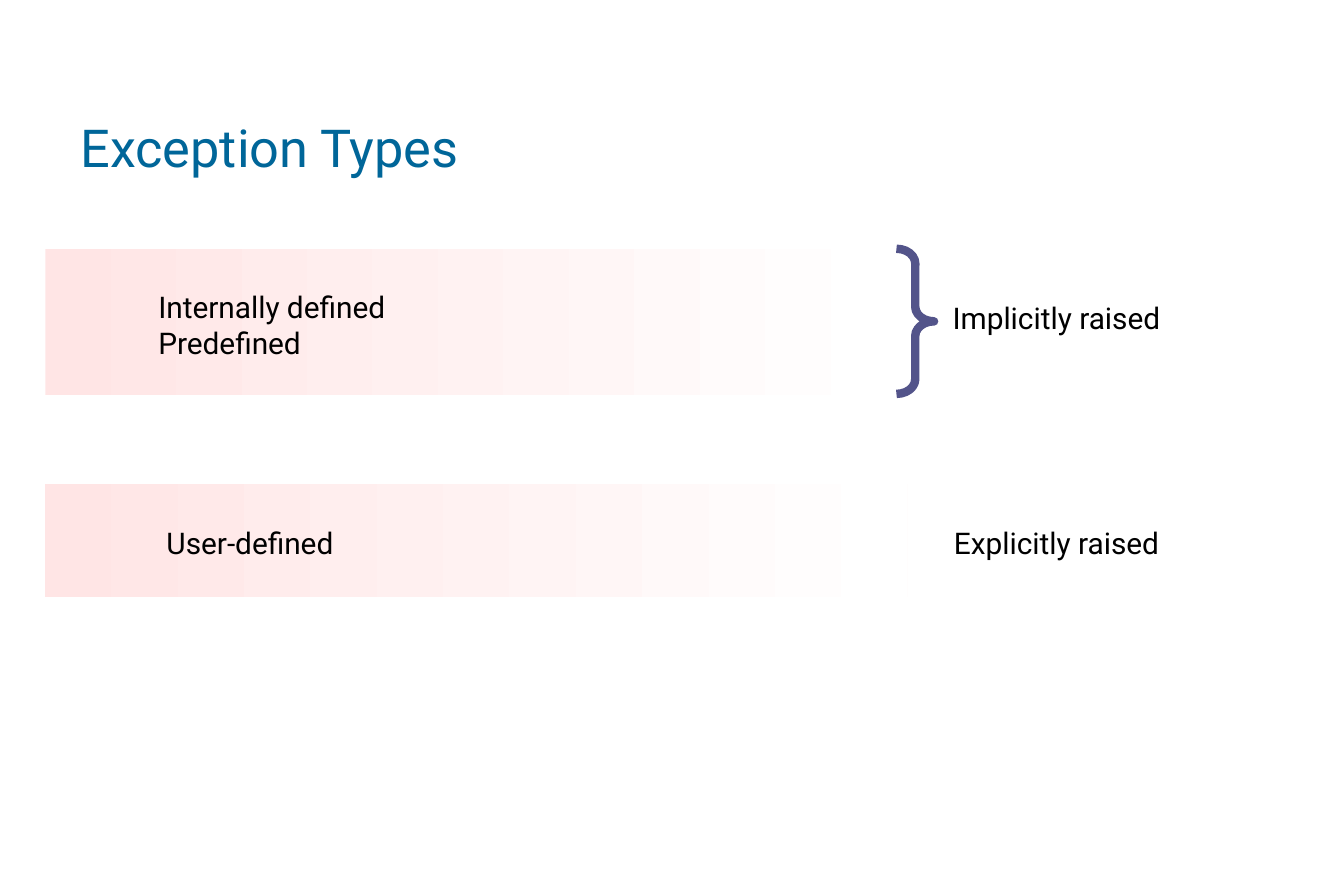
from dataclasses import dataclass
from pptx import Presentation
from pptx.dml.color import RGBColor as RGB
from pptx.enum.shapes import MSO_SHAPE as Preset
from pptx.enum.text import MSO_ANCHOR as Anchor, MSO_AUTO_SIZE as AutoSize, PP_ALIGN as Align
from pptx.util import Pt


@dataclass(frozen=True)
class Theme:
    font: str = "Roboto"
    title_size: int = 28
    body_size: int = 16
    title: RGB = RGB(0x00, 0x66, 0x99)
    body: RGB = RGB(0x00, 0x00, 0x00)
    brace: RGB = RGB(0x53, 0x54, 0x8A)
    band_start: RGB = RGB(0xFF, 0xE5, 0xE5)
    band_end: RGB = RGB(0xFF, 0xFF, 0xFF)


theme = Theme()


def place(shape, left, top, width, height):
    box = {"left": left, "top": top, "width": width, "height": height}
    for name, value in box.items():
        setattr(shape, name, Pt(value))


def format_text(paragraph, size, color):
    paragraph.alignment = Align.LEFT
    values = {"name": theme.font, "size": Pt(size)}
    for name, value in values.items():
        setattr(paragraph.font, name, value)
    paragraph.font.color.rgb = color


presentation = Presentation()
presentation.slide_width = Pt(720)
presentation.slide_height = Pt(470.16)
slide = presentation.slides.add_slide(presentation.slide_layouts[5])

title = slide.shapes.title
place(title, 36, 41.76, 311.76, 73.44)
title.text_frame.text = "Exception Types"
title.text_frame.vertical_anchor = Anchor.MIDDLE
format_text(title.text_frame.paragraphs[0], theme.title_size, theme.title)

bands = [(24.3, 133.2, 455.76, 78.48), (24, 259.2, 462.24, 60.48)]
for box in bands:
    band = slide.shapes.add_shape(Preset.RECTANGLE, 0, 0, 0, 0)
    place(band, *box)
    band.shadow.inherit = False
    band.line.fill.background()
    band.fill.gradient()
    band.fill.gradient_angle = 0
    for stop, color in zip(band.fill.gradient_stops, (theme.band_start, theme.band_end)):
        stop.color.rgb = color

brace = slide.shapes.add_shape(Preset.RIGHT_BRACE, 0, 0, 0, 0)
place(brace, 480.24, 133.2, 20.16, 77.76)
brace.adjustments[0] = 0.39
brace.shadow.inherit = False
brace.fill.background()
brace.line.color.rgb = theme.brace
brace.line.width = Pt(4.5)

labels = [
    (["Internally defined", "Predefined"], (41.76, 151.2, 203.76, 46.08), 1),
    (["User-defined"], (46.08, 277.2, 147.6, 26.64), 1),
    (["Implicitly raised"], (503.28, 156.96, 132.48, 26.64), 0),
    (["Explicitly raised"], (504, 277.2, 129.6, 26.64), 0),
]
for lines, box, level in labels:
    label = slide.shapes.add_textbox(0, 0, 0, 0)
    place(label, *box)
    frame = label.text_frame
    frame.word_wrap = True
    frame.auto_size = AutoSize.SHAPE_TO_FIT_TEXT
    frame.text = "\n".join(lines)
    for paragraph in frame.paragraphs:
        paragraph.level = level
        properties = paragraph._p.get_or_add_pPr()
        properties.set("marL", str(Pt(36 * level)))
        properties.set("indent", "0")
        format_text(paragraph, theme.body_size, theme.body)

presentation.save("out.pptx")
